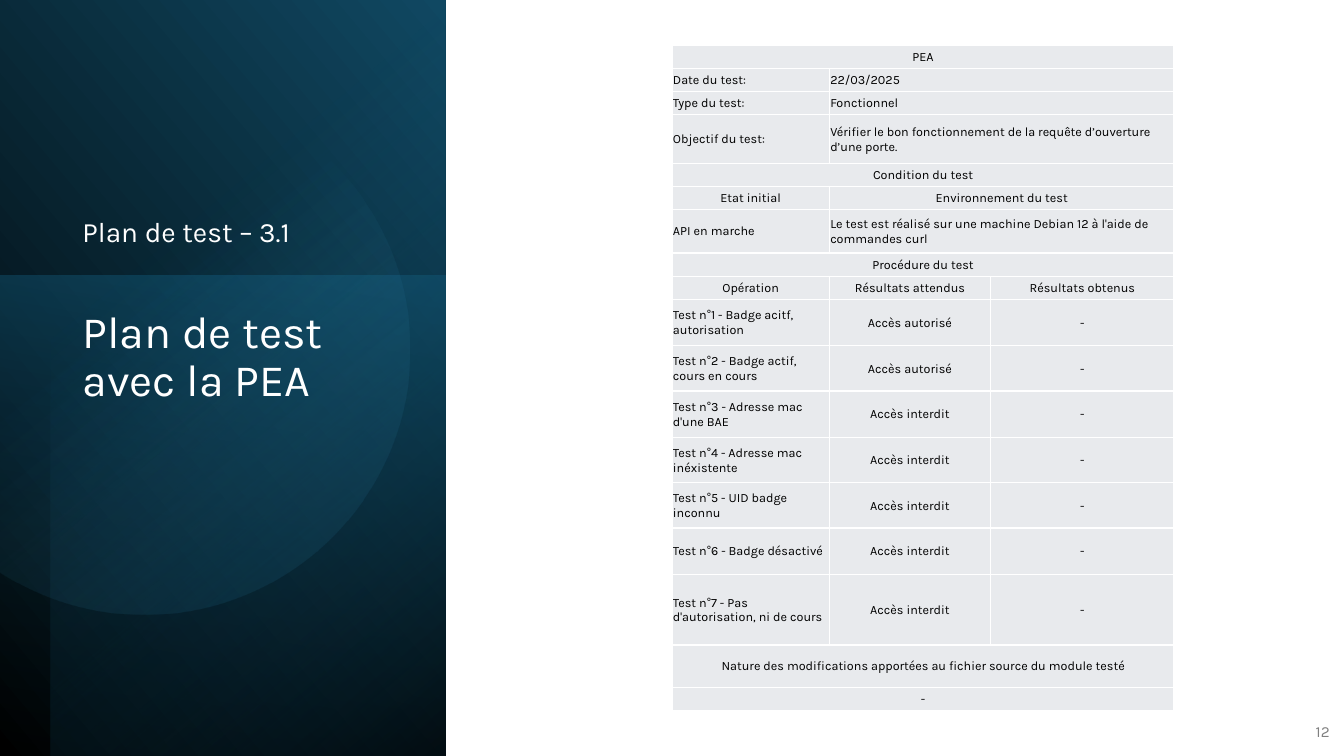
from math import cos, sin, tan, radians
from pptx import Presentation
from pptx import util as u
from pptx.dml.color import RGBColor
from pptx.enum import shapes, text
from pptx.oxml import parse_xml
from pptx.oxml.ns import nsdecls

BLACK = RGBColor(0x00, 0x00, 0x00)
WHITE = RGBColor(0xFF, 0xFF, 0xFF)
GREY = RGBColor(0x80, 0x80, 0x80)
CELL = RGBColor(0xE8, 0xEA, 0xED)
TEAL = RGBColor(0x15, 0x60, 0x82)
DEEP = RGBColor(0x10, 0x48, 0x62)
NIGHT = RGBColor(0x0B, 0x30, 0x41)
SKY = RGBColor(0x46, 0xB1, 0xE1)
FONT = "Karla"

W, H = 13.33, 7.5
SIDE = W * 0.3315  # width of the dark panel
LEFT = W * 0.054   # left edge of the panel's texts

deck = Presentation()
deck.slide_width, deck.slide_height = u.Inches(W), u.Inches(H)
slide = deck.slides.add_slide(deck.slide_layouts[5])
items = slide.shapes


def blend(shape, angle, *stops):
    """Fill with a two-stop gradient; a stop is (share, colour, opacity in %)."""
    shape.shadow.inherit = False
    shape.line.fill.background()
    shape.fill.gradient()
    shape.fill.gradient_angle = 360 - angle
    for stop, (share, color, _) in zip(shape.fill.gradient_stops, stops):
        stop.position, stop.color.rgb = share, color
    for node, (_, _, alpha) in zip(shape._element.xpath(".//a:gs/a:srgbClr"), stops):
        node.append(parse_xml(f'<a:alpha {nsdecls("a")} val="{alpha * 1000}"/>'))


def write(frame, words, size, color, anchor, align=text.PP_ALIGN.LEFT, space=0.9):
    frame.word_wrap = True
    frame.auto_size = text.MSO_AUTO_SIZE.NONE
    frame.vertical_anchor = anchor
    frame.text = words
    para = frame.paragraphs[0]
    para.alignment, para.line_spacing = align, space
    para.font.name, para.font.size = FONT, u.Pt(size)
    para.font.color.rgb = color


# Panel layers: seen left, top, width, height, turn, flip, angle, stops
layers = [
    (0, 0, SIDE, H, 90, True, 310, (0, BLACK, 100), (1, DEEP, 100)),
    (0, H * 0.365, SIDE, H * 0.635, 270, False, 190, (0, TEAL, 50), (1, NIGHT, 0)),
    (0.5, 0, SIDE - 0.5, H, 270, True, 220, (0, BLACK, 59), (0.69, TEAL, 0)),
]
for x, y, wide, tall, turn, flip, angle, *stops in layers:
    # A quarter turn swaps the sides around the same centre
    shift = (tall - wide) / 2
    layer = items.add_shape(shapes.MSO_SHAPE.RECTANGLE, u.Inches(x - shift),
                            u.Inches(y + shift), u.Inches(tall), u.Inches(wide))
    layer.rotation = turn
    if flip:
        layer._element.spPr.xfrm.set("flipH", "1")
    blend(layer, angle, *stops)

# Disc cut off by the slide's left edge, in thousandths of an inch
MID_X, MID_Y, RADIUS = 1430, 3470, 2630
turns = [radians(a) for a in (-123, -90, 0, 90, 123)]
ends = [(MID_X + RADIUS * cos(a), MID_Y + RADIUS * sin(a)) for a in turns]
pen = items.build_freeform(*ends[0], scale=u.Inches(0.001))
pen.add_line_segments(ends[1:], close=True)
disc = pen.convert_to_shape()
x0, y0 = min(x for x, _ in ends), min(y for _, y in ends)
for i, line in enumerate(disc._element.xpath(".//a:lnTo")[:4]):
    # Bend each side into a quarter arc or less
    (a, b), (start, end) = turns[i:i + 2], ends[i:i + 2]
    pull = 4 / 3 * tan((b - a) / 4) * RADIUS
    knots = [(start[0] - pull * sin(a), start[1] + pull * cos(a)),
             (end[0] + pull * sin(b), end[1] - pull * cos(b)), end]
    dots = "".join(f'<a:pt x="{round(x - x0)}" y="{round(y - y0)}"/>' for x, y in knots)
    line.getparent().replace(line, parse_xml(
        f'<a:cubicBezTo {nsdecls("a")}>{dots}</a:cubicBezTo>'))
blend(disc, 51.6, (0.39, SKY, 0), (1, DEEP, 26))

title = items.title
items._spTree.append(title._element)
title.left, title.top = u.Inches(LEFT), u.Inches(H * 0.403)
title.width, title.height = u.Inches(3.15), u.Inches(3.36)
write(title.text_frame, "Plan de test avec la PEA", 32, WHITE, text.MSO_ANCHOR.TOP)

part = items.add_textbox(u.Inches(LEFT), u.Inches(0.89), u.Inches(3.19), u.Inches(1.63))
write(part.text_frame, "Plan de test – 3.1", 20, WHITE, text.MSO_ANCHOR.BOTTOM)

page = items.add_textbox(u.Inches(W * 0.96), u.Inches(7.06), u.Inches(0.49), u.Inches(0.4))
write(page.text_frame, "12", 11, GREY, text.MSO_ANCHOR.MIDDLE, text.PP_ALIGN.RIGHT, 1)

# Test sheet: row height, then the texts; the last one spans what is left
COLS = [1.56, 1.6, 1.82]
LOW = 0.23
OK, NO = "Accès autorisé", "Accès interdit"
HEADS = {"Etat initial", "Environnement du test", "Opération"}
rows = [
    (LOW, "PEA"),
    (LOW, "Date du test:", "22/03/2025"),
    (LOW, "Type du test:", "Fonctionnel"),
    (0.48, "Objectif du test:",
     "Vérifier le bon fonctionnement de la requête d’ouverture d’une porte."),
    (LOW, "Condition du test"),
    (LOW, "Etat initial", "Environnement du test"),
    (0.43, "API en marche",
     "Le test est réalisé sur une machine Debian 12 à l'aide de commandes curl"),
    (LOW, "Procédure du test"),
    (LOW, "Opération", "Résultats attendus", "Résultats obtenus"),
    (0.46, "Test n°1 - Badge acitf, autorisation", OK, "-"),
    (0.45, "Test n°2 - Badge actif, cours en cours", OK, "-"),
    (0.46, "Test n°3 - Adresse mac d'une BAE", NO, "-"),
    (0.45, "Test n°4 - Adresse mac inéxistente", NO, "-"),
    (0.45, "Test n°5 - UID badge inconnu", NO, "-"),
    (0.46, "Test n°6 - Badge désactivé", NO, "-"),
    (0.7, "Test n°7 - Pas d'autorisation, ni de cours", NO, "-"),
    (0.42, "Nature des modifications apportées au fichier source du module testé"),
    (LOW, "-"),
]
grid = items.add_table(len(rows), len(COLS), u.Inches(W / 2), u.Inches(0.45),
                       u.Inches(sum(COLS)), u.Inches(sum(r[0] for r in rows))).table
for col, wide in zip(grid.columns, COLS):
    col.width = u.Inches(wide)
for i, (tall, *words) in enumerate(rows):
    grid.rows[i].height = u.Inches(tall)
    last = len(words) - 1
    if last < 2:
        grid.cell(i, last).merge(grid.cell(i, 2))
    for j in range(len(COLS)):
        cell = grid.cell(i, j)
        word = words[j] if j <= last else ""
        mid = last == 0 or (last == 2 and j > 0) or word in HEADS
        write(cell.text_frame, word, 9, BLACK, None,
              text.PP_ALIGN.CENTER if mid else text.PP_ALIGN.LEFT, 1)
        cell.vertical_anchor = text.MSO_ANCHOR.MIDDLE
        cell.margin_left = cell.margin_right = cell.margin_top = u.Inches(0.01)
        cell.margin_bottom = 0
        props = cell._tc.get_or_add_tcPr()
        for edge in "LRTB":
            props.append(parse_xml(
                f'<a:ln{edge} {nsdecls("a")} w="12700"><a:solidFill>'
                f'<a:srgbClr val="{WHITE}"/></a:solidFill></a:ln{edge}>'))
        cell.fill.solid()
        cell.fill.fore_color.rgb = CELL

deck.save("out.pptx")
